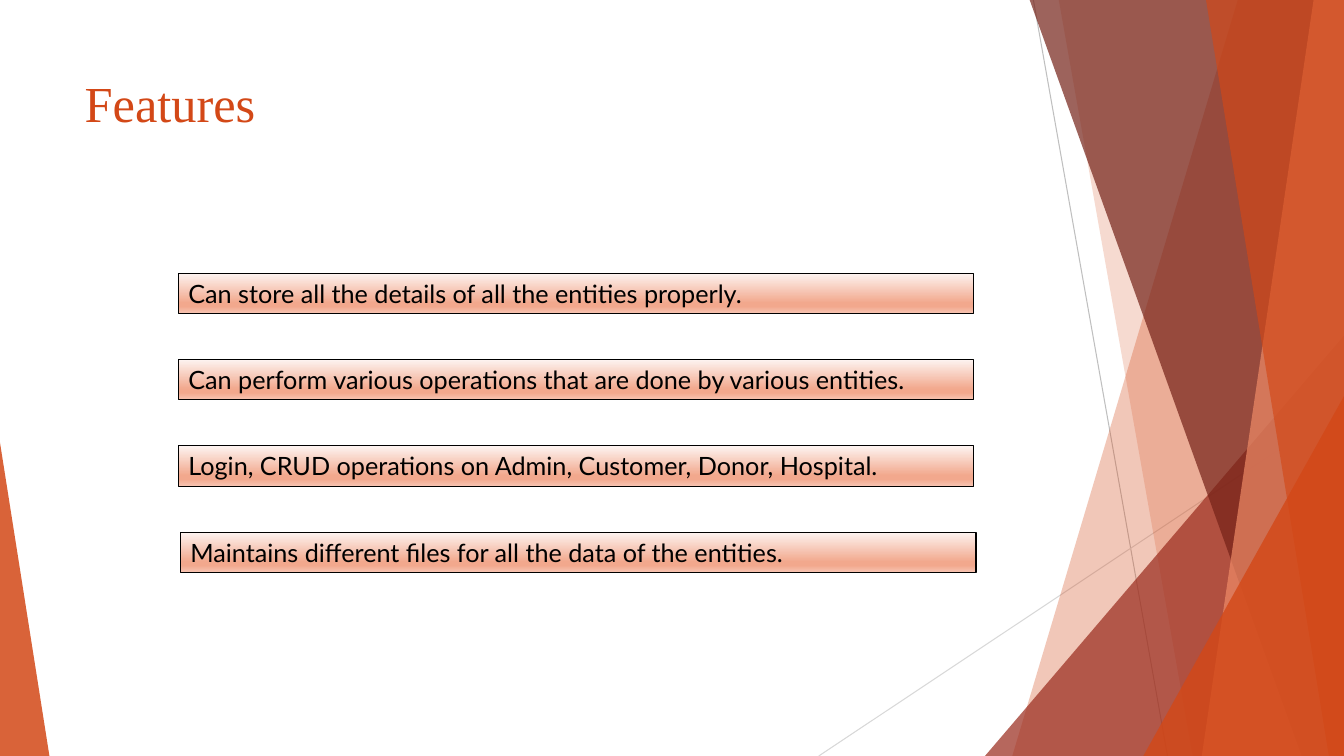
"""Build the Features slide with its faceted backdrop."""
from pptx import Presentation
from pptx import util as u
from pptx.dml.color import RGBColor
from pptx.enum import shapes, text
from pptx.oxml import parse_xml
from pptx.oxml.ns import nsdecls, qn

WIDTH, HEIGHT = u.Inches(13.33), u.Inches(7.5)
BLACK = RGBColor(0x00, 0x00, 0x00)
ORANGE = RGBColor(0xD3, 0x48, 0x17)
BRICK = RGBColor(0x9B, 0x2D, 0x1F)
MAROON = RGBColor(0x74, 0x21, 0x17)
SALMON = RGBColor(0xEF, 0x8B, 0x67)
GREY = RGBColor(0xBF, 0xBF, 0xBF)
PALE_GREY = RGBColor(0xD8, 0xD8, 0xD8)
PEACH = RGBColor(0xF2, 0xA8, 0x8D)
BAR_STOPS = [
    (0, RGBColor(0xFD, 0xF4, 0xF1)),
    (74, PEACH),
    (83, PEACH),
    (100, RGBColor(0xF7, 0xC4, 0xB2)),
]
TITLE_FONT = {"name": "Times New Roman", "size": u.Pt(36)}
BAR_FONT = {"name": "Lato", "size": u.Pt(18)}
BAR_TOP, BAR_PITCH = 36.13, 11.42
FEATURES = [
    (13.28, "Can store all the details of all the entities properly."),
    (13.28, "Can perform various operations that are done by various entities."),
    (13.28, "Login, CRUD operations on Admin, Customer, Donor, Hospital."),
    (13.43, "Maintains different files for all the data of the entities."),
]


def across(percent):
    """Return a percentage of the slide width."""
    return u.Emu(round(WIDTH * percent / 100))


def down(percent):
    """Return a percentage of the slide height."""
    return u.Emu(round(HEIGHT * percent / 100))


def box(left, top, width, height):
    """Turn four percentages into a position and size."""
    return across(left), down(top), across(width), down(height)


def set_format(target, values):
    """Set each named attribute on the target."""
    for name, value in values.items():
        setattr(target, name, value)


def write(frame, wording, font, color):
    """Put one left-aligned, formatted paragraph in a text frame."""
    frame.text = wording
    paragraph = frame.paragraphs[0]
    paragraph.alignment = text.PP_ALIGN.LEFT
    set_format(paragraph.font, font)
    paragraph.font.color.rgb = color


def paint(shape, color, opacity):
    """Give a shape a translucent fill without outline or shadow."""
    shape.shadow.inherit = False
    shape.line.fill.background()
    shape.fill.solid()
    shape.fill.fore_color.rgb = color
    fill_color = shape._element.spPr.find(".//" + qn("a:srgbClr"))
    fill_color.append(parse_xml(f'<a:alpha {nsdecls("a")} val="{opacity * 1000}"/>'))


def add_shard(slide, top_left, bottom_left, color, opacity):
    """Draw a facet that runs from a slanted left edge to the slide's right."""
    builder = slide.shapes.build_freeform(across(top_left), down(-0.13))
    corners = [(100, -0.13), (100, 100), (bottom_left, 100)]
    builder.add_line_segments([(across(x), down(y)) for x, y in corners], close=True)
    paint(builder.convert_to_shape(), color, opacity)


def add_wedge(slide, left, top, width, apex, color, opacity):
    """Draw a triangle that stands on the bottom of the slide."""
    shape = slide.shapes.add_shape(
        shapes.MSO_SHAPE.ISOSCELES_TRIANGLE, *box(left, top, width, 100 - top))
    shape.adjustments[0] = apex
    paint(shape, color, opacity)


def add_hairline(slide, start, end, color):
    """Draw a thin straight line between two points."""
    line = slide.shapes.add_connector(
        shapes.MSO_CONNECTOR.STRAIGHT,
        across(start[0]), down(start[1]), across(end[0]), down(end[1]))
    line.line.color.rgb = color
    line.line.width = u.Pt(0.75)
    line._element.spPr.append(parse_xml(f'<a:effectLst {nsdecls("a")}/>'))


def add_backdrop(slide):
    """Draw the lines and facets from back to front."""
    add_hairline(slide, (76.89, 0), (86.87, 100), GREY)
    add_hairline(slide, (100, 53.73), (60.92, 100), PALE_GREY)
    add_shard(slide, 92.12, 75.32, ORANGE, 30)
    add_shard(slide, 78.77, 88.75, ORANGE, 20)
    add_wedge(slide, 73.29, 44.4, 26.71, 1, BRICK, 72)
    add_shard(slide, 76.59, 96.85, MAROON, 70)
    add_shard(slide, 97.75, 89.42, SALMON, 70)
    add_shard(slide, 89.72, 98.87, ORANGE, 65)
    add_wedge(slide, 85.07, 52.4, 14.93, 1, ORANGE, 80)
    add_wedge(slide, 0, 58.53, 3.68, 0, ORANGE, 85)


def add_title(slide, wording):
    """Move and format the title placeholder."""
    title = slide.shapes.title
    names = ("left", "top", "width", "height")
    set_format(title, dict(zip(names, box(5.55, 8.93, 70.52, 19.2))))
    title.text_frame.vertical_anchor = text.MSO_ANCHOR.TOP
    write(title.text_frame, wording, TITLE_FONT, ORANGE)


def add_bar(slide, left, top, wording):
    """Draw one feature as a gradient bar with a thin outline."""
    bar = slide.shapes.add_shape(
        shapes.MSO_SHAPE.RECTANGLE, *box(left, top, 59.19, 5.33))
    bar.shadow.inherit = False
    bar.line.color.rgb = BLACK
    bar.line.width = u.Pt(0.75)
    bar.fill.gradient()
    bar.fill.gradient_angle = 270
    stops = bar._element.spPr.find(".//" + qn("a:gsLst"))
    stops[:] = [
        parse_xml(f'<a:gs {nsdecls("a")} pos="{position * 1000}">'
                  f'<a:srgbClr val="{color}"/></a:gs>')
        for position, color in BAR_STOPS
    ]
    frame = bar.text_frame
    set_format(frame, {"word_wrap": True,
                       "auto_size": text.MSO_AUTO_SIZE.SHAPE_TO_FIT_TEXT,
                       "vertical_anchor": text.MSO_ANCHOR.TOP})
    write(frame, wording, BAR_FONT, BLACK)


def main():
    """Assemble and save the slide."""
    presentation = Presentation()
    set_format(presentation, {"slide_width": WIDTH, "slide_height": HEIGHT})
    slide = presentation.slides.add_slide(presentation.slide_layouts[5])
    add_backdrop(slide)
    add_title(slide, "Features")
    for row, (left, wording) in enumerate(FEATURES):
        add_bar(slide, left, BAR_TOP + row * BAR_PITCH, wording)
    presentation.save("out.pptx")


if __name__ == "__main__":
    main()
